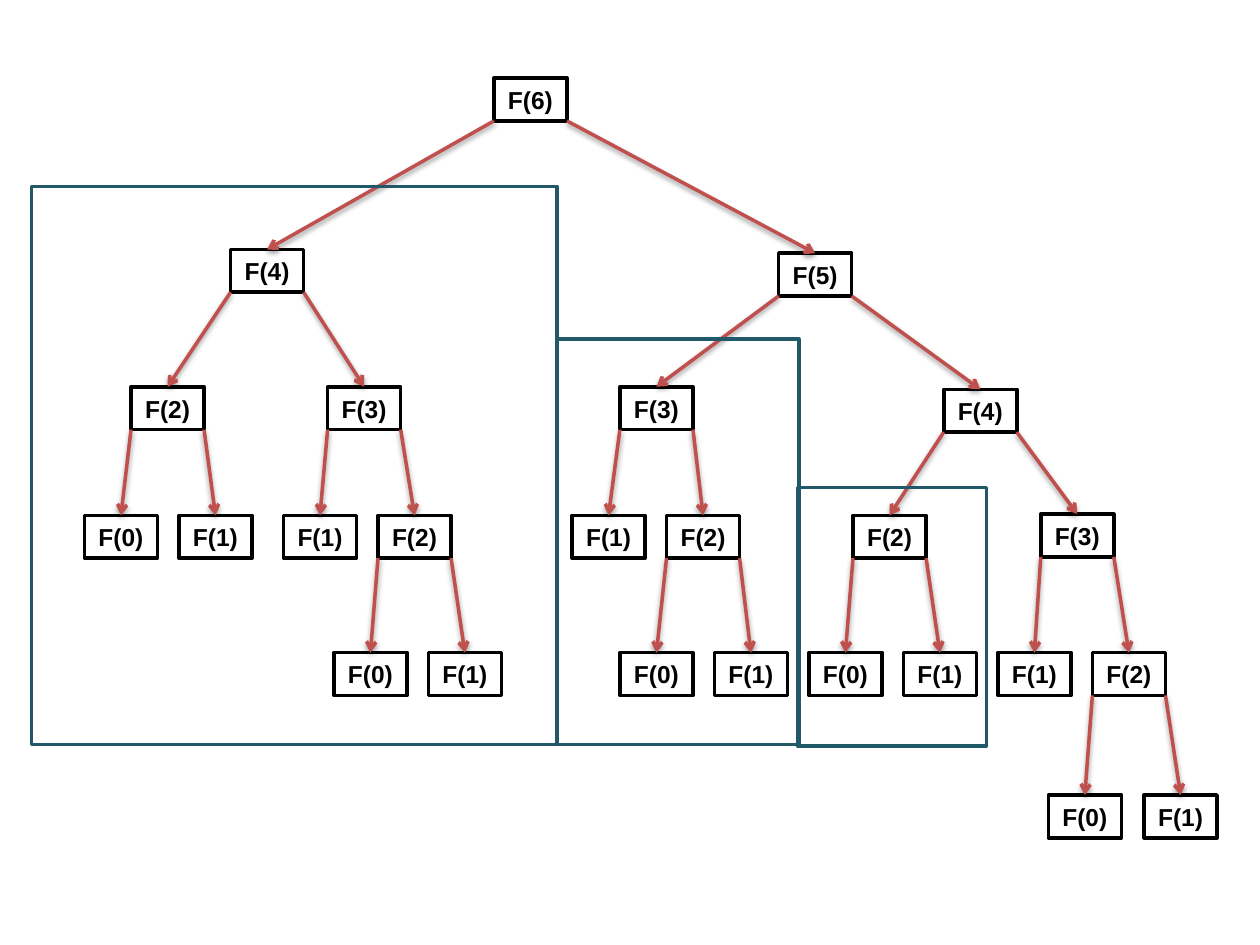
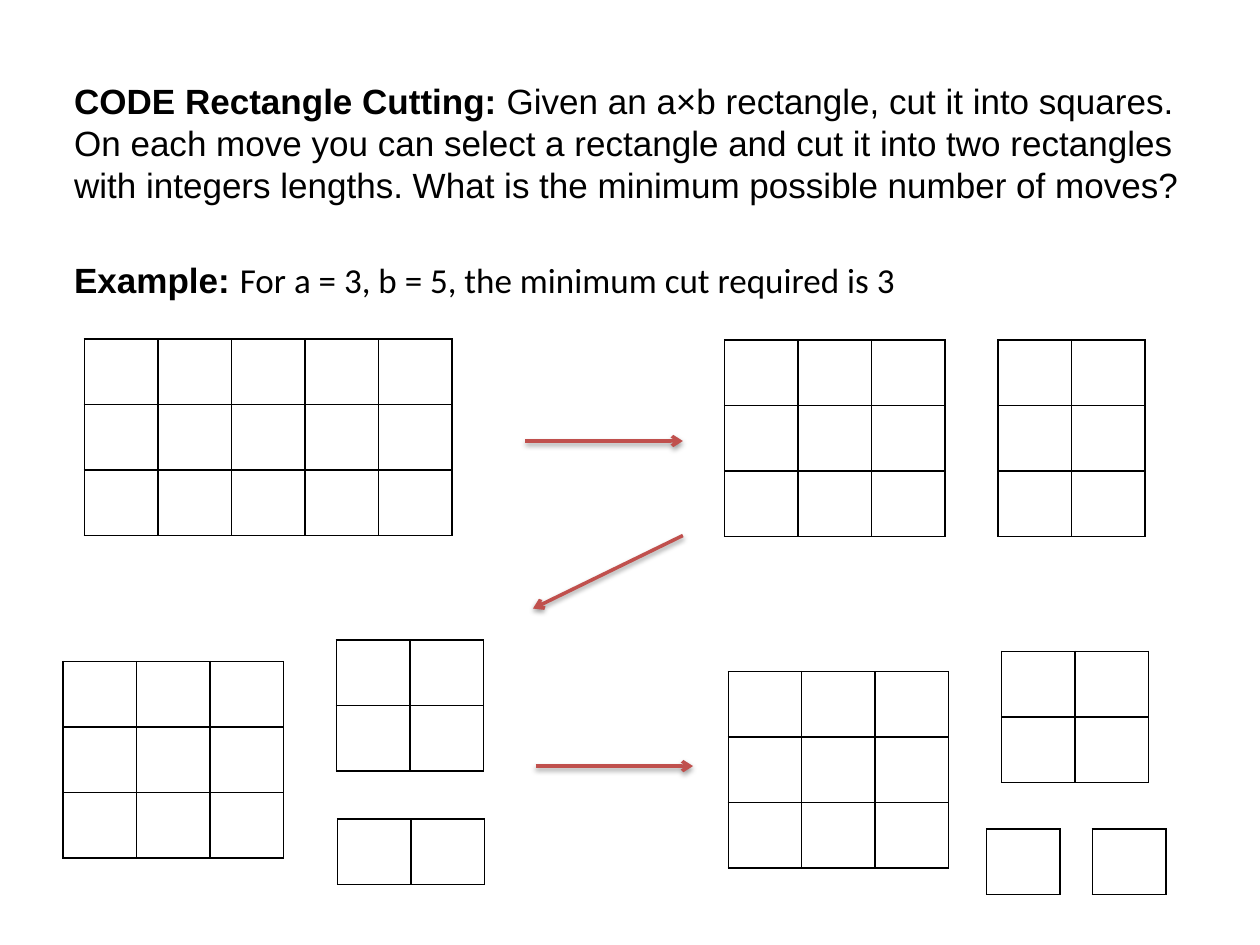
"""Two slides on dynamic programming: a Fibonacci call tree and rectangle cutting."""
from lxml.etree import SubElement
from pptx import Presentation
from pptx.dml.color import RGBColor
from pptx.enum.shapes import MSO_CONNECTOR, MSO_SHAPE
from pptx.enum.text import MSO_ANCHOR, PP_ALIGN
from pptx.oxml import parse_xml
from pptx.oxml.ns import nsdecls, qn
from pptx.util import Inches, Pt

COLORS = {"ink": "000000", "paper": "FFFFFF", "arrow": "C0504D", "frame": "215968"}
FONT = "Arial"
NODE_WIDTH, NODE_HEIGHT = 0.58, 0.34
CELL_WIDTH, CELL_HEIGHT = 7 / 12, 0.52

CALL_POSITIONS = [
    (3.92, 0.62),
    (1.83, 1.98),
    (1.04, 3.07), (0.67, 4.09), (1.42, 4.09),
    (2.6, 3.07), (2.25, 4.09), (3, 4.09), (2.65, 5.18), (3.4, 5.18),
    (6.18, 2.01),
    (4.92, 3.07), (4.54, 4.09), (5.29, 4.09), (4.92, 5.18), (5.67, 5.18),
    (7.49, 3.09),
    (6.77, 4.09), (6.42, 5.18), (7.17, 5.18),
    (8.26, 4.08), (7.92, 5.18), (8.67, 5.18), (8.32, 6.31), (9.08, 6.31),
]
REPEATED_CALLS = [(0.25, 1.48, 4.17, 4.43), (4.42, 2.69, 1.92, 3.22), (6.33, 3.87, 1.5, 2.05)]

GRIDS = [
    (0.67, 2.69, 3, 5),
    (5.75, 2.7, 3, 3), (7.92, 2.7, 3, 2),
    (0.5, 5.25, 3, 3), (2.67, 5.08, 2, 2), (2.68, 6.5, 1, 2),
    (5.78, 5.33, 3, 3), (7.95, 5.17, 2, 2), (7.83, 6.58, 1, 1), (8.67, 6.58, 1, 1),
]
CUT_ARROWS = [((4.17, 3.5), (5.42, 3.5)), ((5.42, 4.25), (4.23, 4.83)), ((4.25, 6.08), (5.5, 6.08))]


def color(name):
    """Return a named colour."""
    return RGBColor.from_string(COLORS[name])


def add_span(para, text, size, bold=False, font=FONT):
    """Append a formatted run to a paragraph."""
    span = para.add_run()
    span.text = text
    span.font.name, span.font.size, span.font.bold = font, Pt(size), bold
    span.font.color.rgb = color("ink")


def add_box(page, box, line, fill=None):
    """Draw an outlined rectangle."""
    shape = page.shapes.add_shape(MSO_SHAPE.RECTANGLE, *map(Inches, box))
    shape.shadow.inherit = False
    shape.line.color.rgb = color(line)
    shape.line.width = Pt(2)
    if fill:
        shape.fill.solid()
        shape.fill.fore_color.rgb = color(fill)
    else:
        shape.fill.background()
    return shape


def add_arrow(page, start, end):
    """Draw a red arrow with a soft shadow below it."""
    arrow = page.shapes.add_connector(MSO_CONNECTOR.STRAIGHT, *map(Inches, (*start, *end)))
    arrow.line.color.rgb = color("arrow")
    arrow.line.width = Pt(2)
    SubElement(arrow.line._get_or_add_ln(), qn("a:tailEnd"), type="arrow")
    arrow._element.spPr.append(parse_xml(
        f'<a:effectLst {nsdecls("a")}><a:outerShdw blurRad="39370" dist="20320" dir="5400000" '
        f'rotWithShape="0"><a:srgbClr val="{COLORS["ink"]}"><a:alpha val="38000"/></a:srgbClr>'
        '</a:outerShdw></a:effectLst>'))


def add_node(page, number, left, top):
    """Draw one call as a labelled box."""
    node = add_box(page, (left, top, NODE_WIDTH, NODE_HEIGHT), "ink", "paper")
    frame = node.text_frame
    frame.word_wrap = False
    frame.vertical_anchor = MSO_ANCHOR.MIDDLE
    para = frame.paragraphs[0]
    para.alignment = PP_ALIGN.CENTER
    add_span(para, f"F({number})", 14, bold=True)


def add_calls(page, number, positions):
    """Draw F(number) and its calls, and return its place and the arrows needed."""
    left, top = next(positions)
    add_node(page, number, left, top)
    arrows = []
    if number > 1:
        for child, corner in ((number - 2, left), (number - 1, left + NODE_WIDTH)):
            (child_left, child_top), child_arrows = add_calls(page, child, positions)
            target = (child_left + NODE_WIDTH / 2, child_top)
            arrows += [((corner, top + NODE_HEIGHT), target), *child_arrows]
    return (left, top), arrows


def add_grid(page, left, top, rows, columns):
    """Draw an empty table of unit cells with thin black borders."""
    box = (left, top, columns * CELL_WIDTH, rows * CELL_HEIGHT)
    table = page.shapes.add_table(rows, columns, *map(Inches, box)).table
    table.first_row = table.horz_banding = False
    for cell in table.iter_cells():
        cell.fill.background()
        properties = cell._tc.get_or_add_tcPr()
        for index, side in enumerate("LRTB"):
            properties.insert(index, parse_xml(
                f'<a:ln{side} {nsdecls("a")} w="12700"><a:solidFill>'
                f'<a:srgbClr val="{COLORS["ink"]}"/></a:solidFill></a:ln{side}>'))


def add_statement(page, box, heading, body, body_font=FONT):
    """Write a bold heading followed by its text."""
    frame = page.shapes.add_textbox(*map(Inches, box)).text_frame
    frame.word_wrap = True
    para = frame.paragraphs[0]
    para.line_spacing = Pt(24)
    add_span(para, heading, 20, bold=True)
    add_span(para, body, 20, font=body_font)


def build_call_tree(page):
    """Build the call tree of F(6) with its repeated parts framed."""
    _, arrows = add_calls(page, 6, iter(CALL_POSITIONS))
    for start, end in arrows:
        add_arrow(page, start, end)
    for box in REPEATED_CALLS:
        add_box(page, box, "frame")


def build_cutting(page):
    """Build the rectangle cutting task and its example."""
    add_statement(page, (0.49, 0.58, 9, 1.25), "CODE Rectangle Cutting: ",
                  "Given an a×b rectangle, cut it into squares. On each move you can select a "
                  "rectangle and cut it into two rectangles with integers lengths. What is the "
                  "minimum possible number of moves?")
    for grid in GRIDS:
        add_grid(page, *grid)
    for start, end in CUT_ARROWS:
        add_arrow(page, start, end)
    add_statement(page, (0.49, 2, 6.83, 0.44), "Example: ",
                  "For a = 3, b = 5, the minimum cut required is 3", "Calibri")


deck = Presentation()
deck.slide_width, deck.slide_height = Inches(10), Inches(7.5)
for build in (build_call_tree, build_cutting):
    build(deck.slides.add_slide(deck.slide_layouts[6]))
deck.save("out.pptx")
